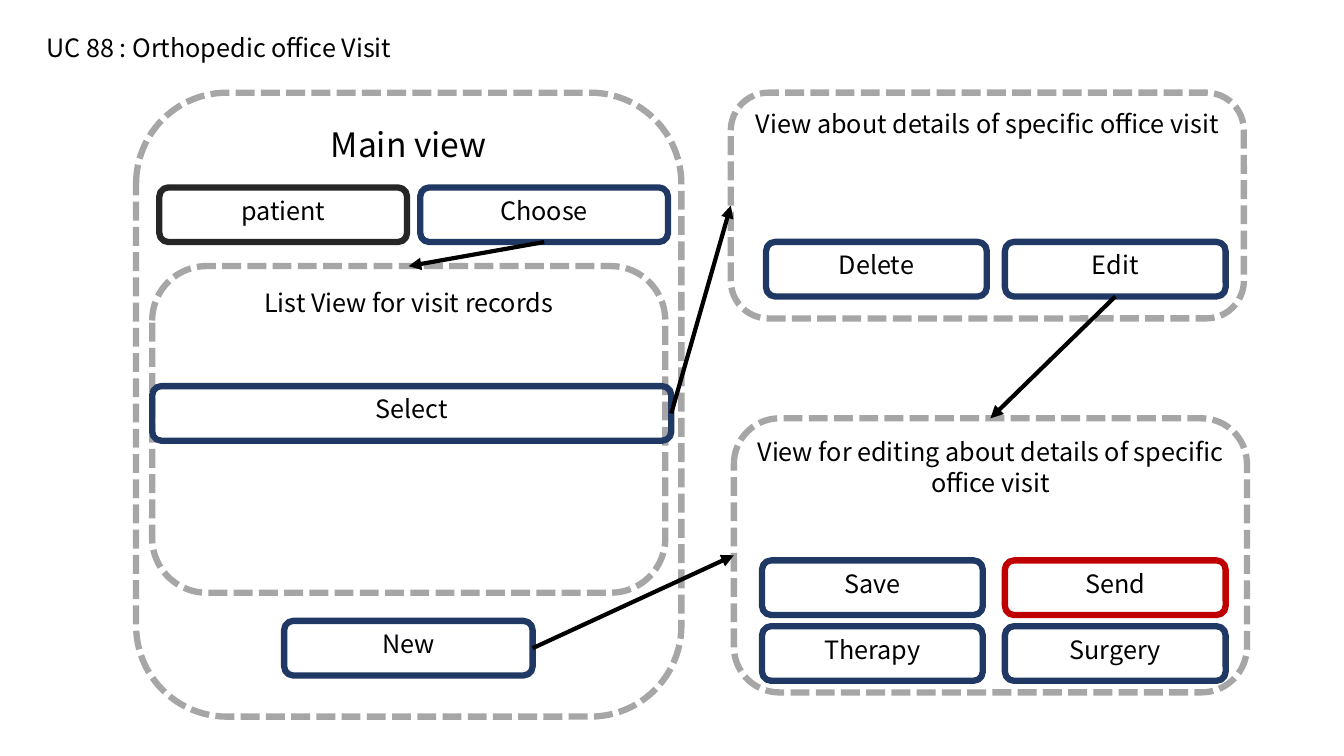
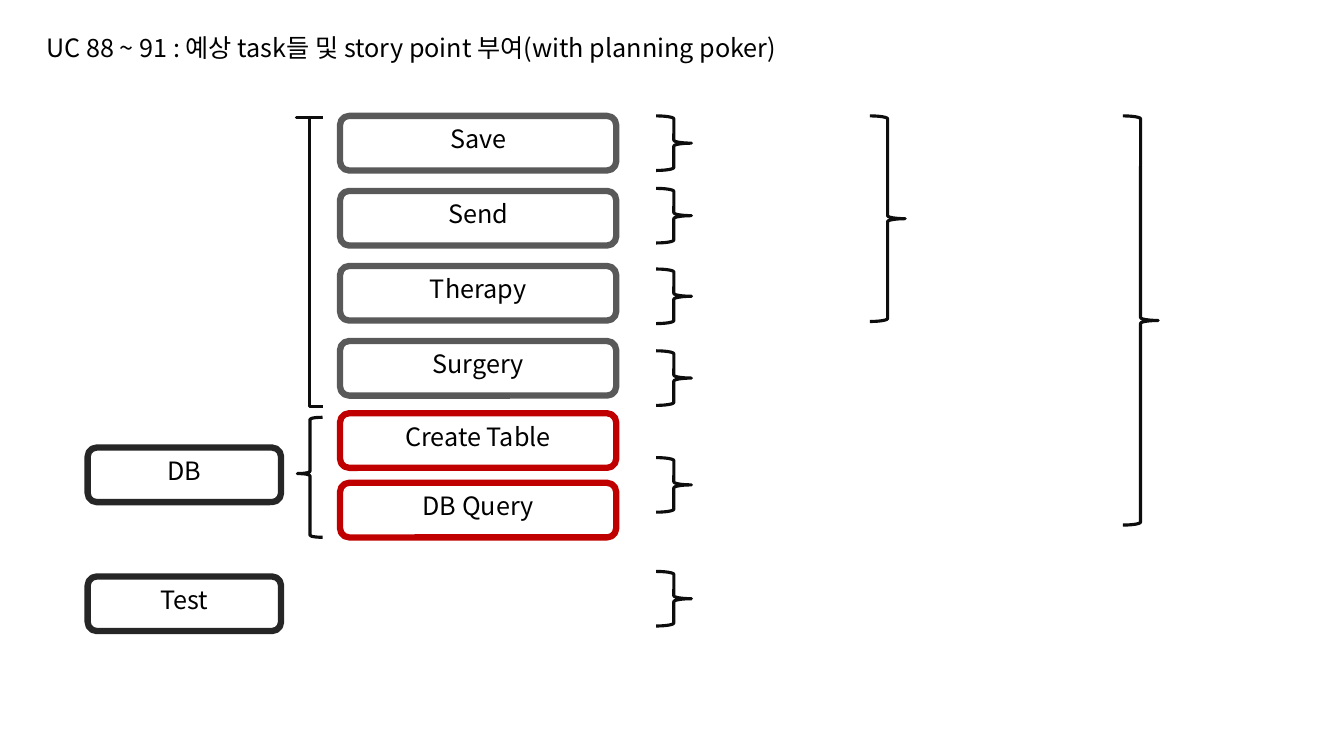
from collections import namedtuple
from dataclasses import dataclass

from pptx import Presentation
from pptx.dml.color import RGBColor
from pptx.enum.dml import MSO_LINE
from pptx.enum.shapes import MSO_CONNECTOR, MSO_SHAPE
from pptx.enum.text import MSO_ANCHOR, MSO_AUTO_SIZE, PP_ALIGN
from pptx.oxml.ns import qn
from pptx.util import Pt
from lxml.etree import SubElement


@dataclass(frozen=True)
class Theme:
    """Colours, type sizes and line widths shared by the slides."""
    font: str = "Noto Sans CJK KR"
    text: str = "000000"
    panel: str = "A6A6A6"
    action: str = "203864"
    alert: str = "C00000"
    label: str = "262626"
    task: str = "595959"
    brace: str = "0D0D0D"
    body_size: float = 18
    heading_size: float = 24
    outline: float = 4.5
    arrow: float = 3
    brace_line: float = 2.25


THEME = Theme()
Box = namedtuple("Box", "left top width height")
BUTTON_HEIGHT = 39
TOP, LEFT, BOTTOM, RIGHT = range(4)


def within(box, left, top, width, height=BUTTON_HEIGHT):
    """Return a box offset from the corner of another box."""
    return Box(box.left + left, box.top + top, width, height)


def format_text(frame, size, alignment):
    """Style every run of a text frame."""
    for paragraph in frame.paragraphs:
        paragraph.alignment = alignment
        for run in paragraph.runs:
            run.font.size = Pt(size)
            run.font.name = THEME.font
            run.font.color.rgb = RGBColor.from_string(THEME.text)
            SubElement(run.font._element, qn("a:ea")).set("typeface", THEME.font)


def add_titled_slide(deck, heading, width):
    """Add a title-only slide with its heading at the top left."""
    slide = deck.slides.add_slide(deck.slide_layouts[5])
    title = slide.shapes.title
    title.left, title.top, title.width, title.height = map(Pt, (25.9, 19.4, width, 29))
    frame = title.text_frame
    frame.text = heading
    frame.word_wrap = True
    frame.vertical_anchor = MSO_ANCHOR.TOP
    frame.auto_size = MSO_AUTO_SIZE.SHAPE_TO_FIT_TEXT
    format_text(frame, THEME.body_size, PP_ALIGN.LEFT)
    return slide


def add_outline(slide, preset, box, color, weight):
    """Add an unfilled preset shape."""
    outline = slide.shapes.add_shape(preset, *map(Pt, box))
    outline.shadow.inherit = False
    outline.fill.background()
    outline.line.color.rgb = RGBColor.from_string(color)
    outline.line.width = Pt(weight)
    return outline


def add_button(slide, box, label, color, size=THEME.body_size):
    """Add a rounded box with its label at the top."""
    button = add_outline(slide, MSO_SHAPE.ROUNDED_RECTANGLE, box, color, THEME.outline)
    frame = button.text_frame
    frame.text = label
    frame.word_wrap = True
    frame.vertical_anchor = MSO_ANCHOR.TOP
    format_text(frame, size, PP_ALIGN.CENTER)
    return button


def add_panel(slide, box, label, size=THEME.body_size):
    """Add a dashed view panel."""
    panel = add_button(slide, box, label, THEME.panel, size)
    panel.line.dash_style = MSO_LINE.SQUARE_DOT
    return panel


def add_arrow(slide, source, source_side, target, target_side):
    """Connect two shapes with an arrow."""
    arrow = slide.shapes.add_connector(MSO_CONNECTOR.STRAIGHT, 0, 0, 0, 0)
    arrow.begin_connect(source, source_side)
    arrow.end_connect(target, target_side)
    arrow.line.color.rgb = RGBColor.from_string(THEME.text)
    arrow.line.width = Pt(THEME.arrow)
    SubElement(arrow.line._get_or_add_ln(), qn("a:tailEnd")).set("type", "triangle")
    SubElement(arrow._element.spPr, qn("a:effectLst"))


def add_brace(slide, box, preset=MSO_SHAPE.RIGHT_BRACE, tip=0.5):
    """Add a brace whose tip sits at a share of its height."""
    brace = add_outline(slide, preset, box, THEME.brace, THEME.brace_line)
    brace.adjustments[0] = 0.08333
    brace.adjustments[1] = tip


def add_main_view(slide, box):
    """Build the main view and return its linked parts."""
    add_panel(slide, box, "Main view", THEME.heading_size)
    add_button(slide, within(box, 16.6, 67.7, 177), "patient", THEME.label)
    choose = add_button(slide, within(box, 203, 67.7, 177), "Choose", THEME.action)
    records = add_panel(slide, within(box, 11.5, 123.9, 366.5, 233.3),
                        "List View for visit records")
    select = add_button(slide, within(box, 11.5, 209.6, 370.8), "Select", THEME.action)
    new = add_button(slide, within(box, 105.8, 377.3, 177.5), "New", THEME.action)
    add_arrow(slide, choose, BOTTOM, records, TOP)
    return select, new


def add_detail_view(slide, box):
    """Build the detail view and return its panel and edit button."""
    panel = add_panel(slide, box, "View about details of specific office visit")
    add_button(slide, within(box, 25.2, 106.6, 157.7), "Delete", THEME.action)
    edit = add_button(slide, within(box, 195.8, 106.6, 157.7), "Edit", THEME.action)
    return panel, edit


def add_editing_view(slide, box):
    """Build the editing view with its grid of buttons."""
    panel = add_panel(slide, box, "View for editing about details of specific office visit")
    actions = (("Save", THEME.action), ("Send", THEME.alert),
               ("Therapy", THEME.action), ("Surgery", THEME.action))
    for index, (label, color) in enumerate(actions):
        row, column = divmod(index, 2)
        add_button(slide, within(box, 20.1 + 173.5 * column, 101.5 + 47 * row, 157.7),
                   label, color)
    return panel


def build_visit_slide(deck):
    """Build the screen flow of the office visit."""
    slide = add_titled_slide(deck, "UC 88 : Orthopedic office Visit", 409)
    select, new = add_main_view(slide, Box(97.2, 66.2, 389.5, 445.7))
    detail, edit = add_detail_view(slide, Box(522, 66.2, 366.5, 161.3))
    editing = add_editing_view(slide, Box(524.2, 298.8, 366.5, 195.8))
    add_arrow(slide, select, RIGHT, detail, LEFT)
    add_arrow(slide, new, RIGHT, editing, LEFT)
    add_arrow(slide, edit, BOTTOM, editing, TOP)


def add_groups(slide, box):
    """Build the group labels and the braces that open towards the tasks."""
    for label, top in (("DB", 236.9), ("Test", 329)):
        add_button(slide, within(box, 0, top, box.width), label, THEME.label)
    for left, top, width, height, tip in ((149.1, 1.4, 18.7, 205.9, 0),
                                          (149.8, 215.3, 18, 85.7, 0.469)):
        add_brace(slide, within(box, left, top, width, height), MSO_SHAPE.LEFT_BRACE, tip)


def add_tasks(slide, box):
    """Build the column of tasks."""
    for index, label in enumerate(("Save", "Send", "Therapy", "Surgery")):
        add_button(slide, within(box, 0, 53.6 * index, box.width), label, THEME.task)
    for index, label in enumerate(("Create Table", "DB Query")):
        add_button(slide, within(box, 0, 212.4 + 49.7 * index, box.width), label, THEME.alert)


def add_point_braces(slide, box):
    """Build the braces for single tasks and for their sums."""
    for top in (0, 51.8, 109.4, 167.8, 244.1, 325.4):
        add_brace(slide, within(box, 0, top, 25.2))
    for left, height in ((152.7, 146.9), (333.4, 292.3)):
        add_brace(slide, within(box, left, 0, 25.2, height))


def build_planning_slide(deck):
    """Build the task list with its story point braces."""
    slide = add_titled_slide(
        deck, "UC 88 ~ 91 : 예상 task들 및 story point 부여(with planning poker)", 620)
    add_groups(slide, Box(62.6, 82.8, 138.2, 368))
    add_tasks(slide, Box(242.9, 82.8, 197.3, 301))
    add_point_braces(slide, Box(468.7, 82.8, 358.6, 364.4))


def main():
    """Build and save the deck."""
    deck = Presentation()
    deck.slide_width, deck.slide_height = Pt(960), Pt(540)
    build_visit_slide(deck)
    build_planning_slide(deck)
    deck.save("out.pptx")


main()
